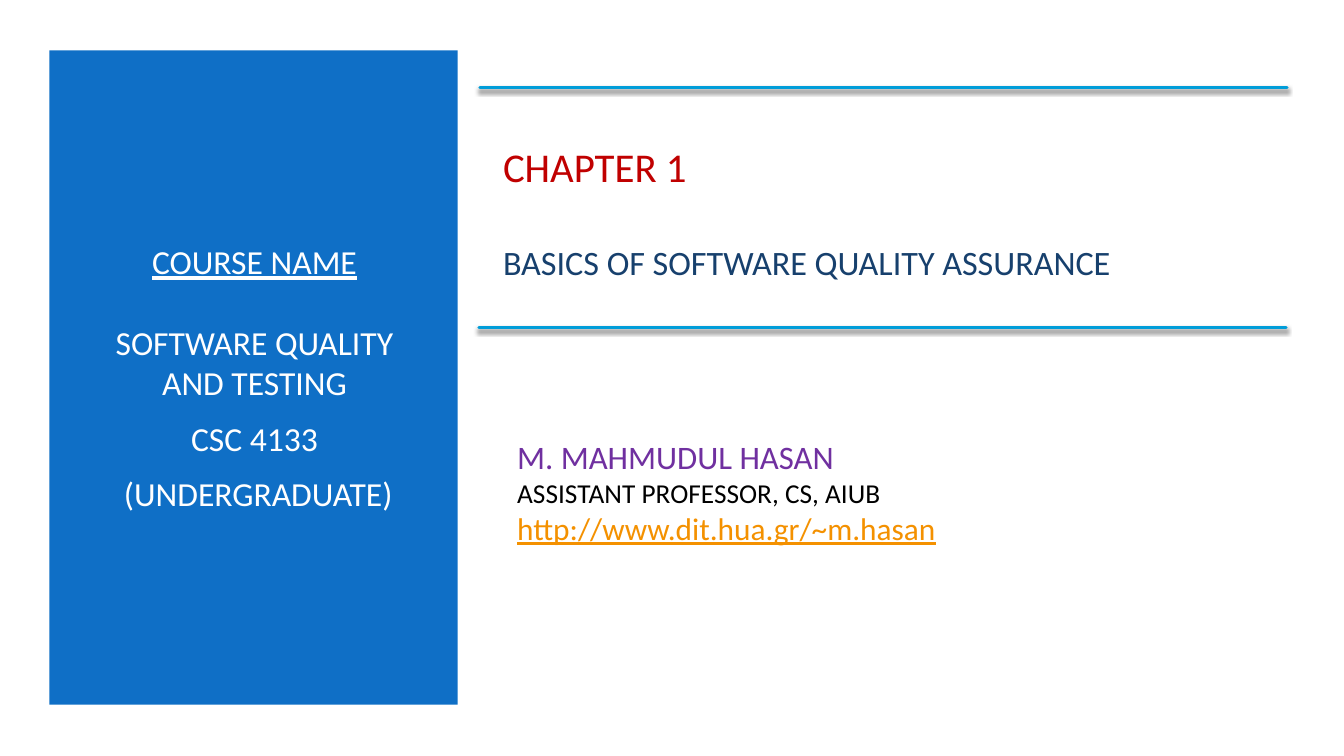
import pptx
import pptx.dml.color
import pptx.enum.shapes
import pptx.enum.text
import pptx.oxml
import pptx.oxml.ns
import pptx.util

Pt = pptx.util.Pt
Align = pptx.enum.text.PP_ALIGN
HUES = {
    "white": "FFFFFF", "panel": "0F6FC6", "rule": "009DD9", "red": "C00000",
    "navy": "17406D", "violet": "7030A0", "black": "000000", "link": "F49100",
}
SHADOW = (
    '<a:effectLst %s><a:outerShdw blurRad="%d" dist="%d" dir="5400000">'
    '<a:srgbClr val="%s"><a:alpha val="55000"/></a:srgbClr>'
    '</a:outerShdw></a:effectLst>'
)


class Deck:
    """Holds the style and the current slide."""

    font = "Calibri"

    def __init__(self, wide, high):
        self.prs = pptx.Presentation()
        self.prs.slide_width, self.prs.slide_height = Pt(wide), Pt(high)
        self.slide = self.prs.slides.add_slide(self.prs.slide_layouts[3])
        back = self.slide.background.fill
        back.solid()
        back.fore_color.rgb = self.hue("white")

    def hue(self, name):
        return pptx.dml.color.RGBColor.from_string(HUES[name])

    def panel(self, box, name):
        kind = pptx.enum.shapes.MSO_SHAPE.RECTANGLE
        shape = self.slide.shapes.add_shape(kind, *map(Pt, box))
        shape.shadow.inherit = False
        shape.fill.solid()
        shape.fill.fore_color.rgb = self.hue(name)
        shape.line.fill.background()
        # Send the panel behind the text
        tree = shape.element.getparent()
        tree.insert(2, shape.element)

    def rule(self, left, top, width):
        kind = pptx.enum.shapes.MSO_CONNECTOR.STRAIGHT
        line = self.slide.shapes.add_connector(
            kind, Pt(left), Pt(top), Pt(left + width), Pt(top))
        line.line.color.rgb = self.hue("rule")
        line.line.width = Pt(2)
        line.line._get_or_add_ln().set("cap", "rnd")
        xml = SHADOW % (pptx.oxml.ns.nsdecls("a"), Pt(3), Pt(2), HUES["black"])
        line.element.spPr.append(pptx.oxml.parse_xml(xml))

    def text(self, index, box, rows, align=Align.LEFT):
        """Fill a placeholder; a row is text, size, hue, underline, gap."""
        holder = self.slide.placeholders[index]
        holder.left, holder.top, holder.width, holder.height = map(Pt, box)
        frame = holder.text_frame
        frame.word_wrap = True
        frame.auto_size = pptx.enum.text.MSO_AUTO_SIZE.NONE
        frame.vertical_anchor = pptx.enum.text.MSO_ANCHOR.MIDDLE
        for num, (words, size, name, under, gap) in enumerate(rows):
            para = frame.paragraphs[0] if num == 0 else frame.add_paragraph()
            props = para._p.get_or_add_pPr()
            props.set("marL", "0")
            props.set("indent", "0")
            props.append(pptx.oxml.parse_xml(
                "<a:buNone %s/>" % pptx.oxml.ns.nsdecls("a")))
            para.alignment = align
            para.space_before, para.space_after = Pt(gap), Pt(0)
            run = para.add_run()
            run.text = words
            run.font.name = self.font
            run.font.size = Pt(size)
            run.font.underline = under
            run.font.color.rgb = self.hue(name)

    def save(self):
        self.prs.save("out.pptx")


def main():
    deck = Deck(960, 540)

    # Course panel
    deck.panel((35.3, 36, 291.6, 467.3), "panel")
    deck.text(1, (60.5, 80.5, 242.6, 378), [
        ("COURSE NAME", 24, "white", True, 0),
        ("SOFTWARE QUALITY AND TESTING", 24, "white", False, 29),
        ("CSC 4133", 24, "white", False, 10.8),
        (" (UNDERGRADUATE)", 24, "white", False, 10.8),
    ], Align.CENTER)

    # Chapter title between two rules
    deck.text(0, (352.1, 79.2, 565.2, 144), [
        ("CHAPTER 1", 29.2, "red", False, 0),
        ("BASICS OF SOFTWARE QUALITY ASSURANCE", 24.4, "navy", False, 36),
    ])
    for left, top in ((342.7, 62.6), (342, 234)):
        deck.rule(left, top, 576.7)

    # Author
    deck.text(2, (362.2, 295.2, 479.5, 112.3), [
        ("M. MAHMUDUL HASAN", 23.4, "violet", False, 0),
        ("ASSISTANT PROFESSOR, CS, AIUB", 19.5, "black", False, 0),
        ("http://www.dit.hua.gr/~m.hasan", 22.4, "link", True, 0),
    ])

    deck.save()


if __name__ == "__main__":
    main()
